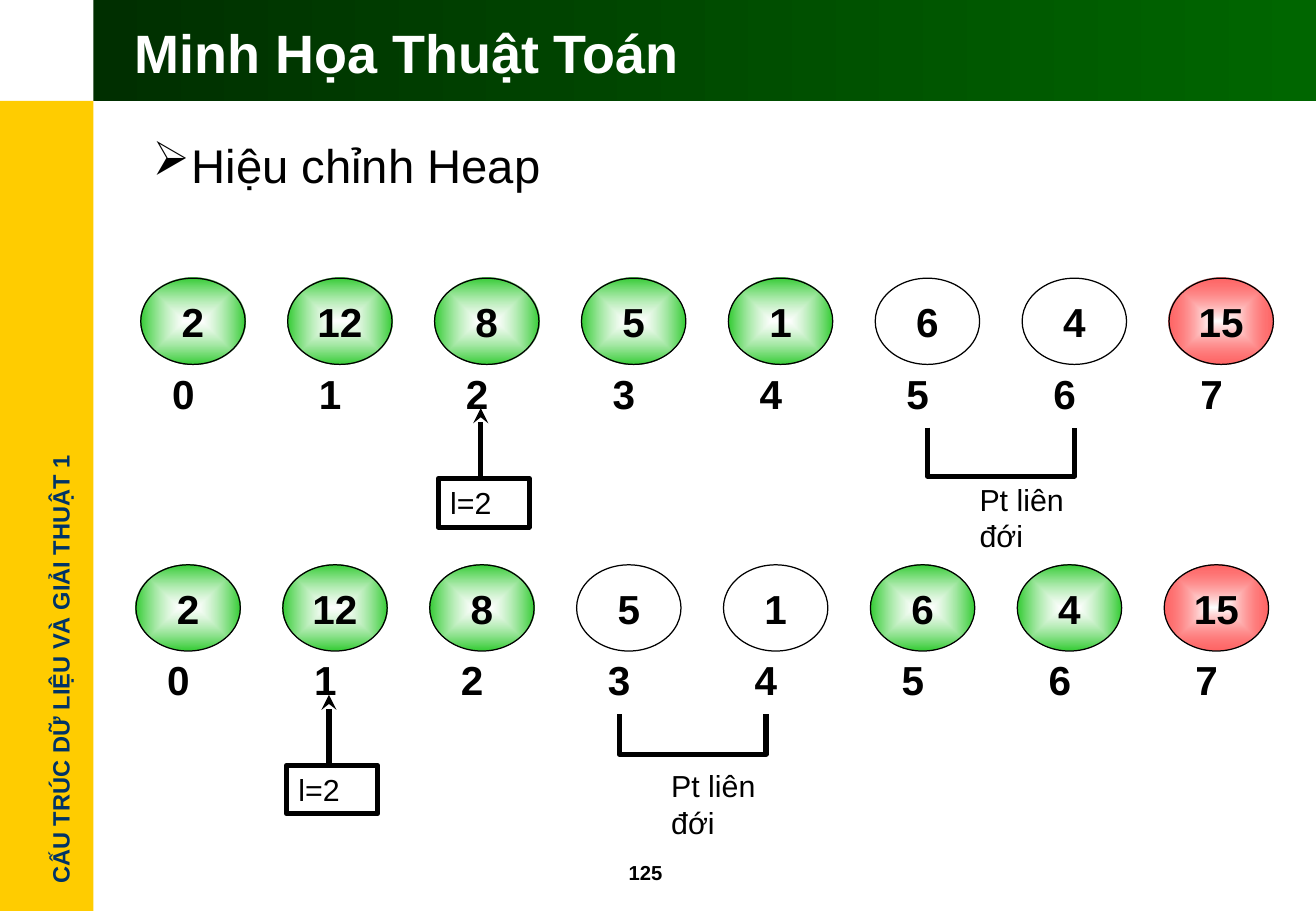
"""Build the heap adjustment slide."""
from dataclasses import dataclass
from typing import Any, NamedTuple

from lxml.etree import SubElement
from pptx import Presentation
from pptx.dml.color import RGBColor
from pptx.enum.shapes import MSO_CONNECTOR, MSO_SHAPE
from pptx.enum.text import MSO_ANCHOR, PP_ALIGN
from pptx.oxml import parse_xml
from pptx.oxml.ns import nsdecls, qn
from pptx.util import Inches, Pt


class Stop(NamedTuple):
    color: str
    alpha: int = 100


class Box(NamedTuple):
    x: float
    y: float
    w: float
    h: float


@dataclass(frozen=True)
class Theme:
    font: str = "Arial"
    black: str = "000000"
    white: str = "FFFFFF"
    navy: str = "003366"
    sidebar: tuple[Stop, ...] = (Stop("FFCC00"),)
    header: tuple[Stop, ...] = (Stop("002F00"), Stop("006600"))
    heap: tuple[Stop, ...] = (Stop("FFFFFF", 60), Stop("33CC33"))
    linked: tuple[Stop, ...] = (Stop("FFFFFF", 60),)
    placed: tuple[Stop, ...] = (Stop("FFFFFF"), Stop("FF0000", 60))
    title: int = 32
    heading: int = 28
    node: int = 24
    body: int = 18
    side: int = 14
    page: int = 12
    thin: float = 0.75
    thick: float = 3


@dataclass(frozen=True)
class HeapStep:
    left: float
    top: float
    pointer: int
    linked: tuple[int, int]
    bracket_x: float
    bracket_h: float


T = Theme()
VALUES = (2, 12, 8, 5, 1, 6, 4, 15)
PITCH, NODE_W, NODE_H = 1.21, 0.86, 0.71
STEPS = (
    HeapStep(1.16, 2.29, 2, (5, 6), 7.64, 0.4),
    HeapStep(1.12, 4.65, 1, (3, 4), 5.1, 0.33),
)


def set_all(obj: Any, values: dict[str, Any]) -> None:
    """Set each named attribute on the object."""
    for name, value in values.items():
        setattr(obj, name, value)


def paint(sp: Any, stops: tuple[Stop, ...], radial: bool = False) -> None:
    """Fill with one colour, or with a linear or rectangular gradient."""
    colors = [f'<a:srgbClr val="{c}"><a:alpha val="{a * 1000}"/></a:srgbClr>' for c, a in stops]
    if len(stops) == 1:
        xml = f'<a:solidFill {nsdecls("a")}>{colors[0]}</a:solidFill>'
    else:
        gs = "".join(f'<a:gs pos="{i * 100000}">{c}</a:gs>' for i, c in enumerate(colors))
        ray = ('<a:path path="rect"><a:fillToRect l="50000" t="50000" r="50000" b="50000"/></a:path>'
               if radial else '<a:lin ang="0" scaled="1"/>')
        xml = f'<a:gradFill {nsdecls("a")}><a:gsLst>{gs}</a:gsLst>{ray}</a:gradFill>'
    sp.fill.background()
    spPr = sp._element.spPr
    spPr.replace(spPr.find(qn("a:noFill")), parse_xml(xml))


def outline(sp: Any, width: float) -> None:
    """Give a black line of the given width."""
    sp.line.color.rgb = RGBColor.from_string(T.black)
    sp.line.width = Pt(width)


def write(sp: Any, text: str, size: int, color: str = T.black, bold: bool = False,
          align: PP_ALIGN = PP_ALIGN.LEFT, anchor: MSO_ANCHOR = MSO_ANCHOR.MIDDLE,
          wrap: bool = True) -> Any:
    """Write one formatted paragraph and return it."""
    tf = sp.text_frame
    set_all(tf, {"word_wrap": wrap, "vertical_anchor": anchor})
    p = tf.paragraphs[0]
    p.alignment = align
    r = p.add_run()
    r.text = text
    set_all(r.font, {"name": T.font, "size": Pt(size), "bold": bold})
    r.font.color.rgb = RGBColor.from_string(color)
    return p


def add_shape(s: Any, kind: MSO_SHAPE, box: Box) -> Any:
    """Add a shape without fill, line or shadow."""
    sp = s.shapes.add_shape(kind, *map(Inches, box))
    sp.shadow.inherit = False
    sp.fill.background()
    sp.line.fill.background()
    return sp


def add_text(s: Any, box: Box, text: str, size: int, **style: Any) -> Any:
    """Add a text box and return it."""
    sp = s.shapes.add_textbox(*map(Inches, box))
    write(sp, text, size, **style)
    return sp


def add_arrow(s: Any, x: float, y1: float, y2: float) -> None:
    """Add a vertical arrow with its head at y2."""
    cn = s.shapes.add_connector(MSO_CONNECTOR.STRAIGHT, *map(Inches, (x, y1, x, y2)))
    outline(cn, T.thick)
    SubElement(cn.line._get_or_add_ln(), qn("a:tailEnd"), type="stealth")
    SubElement(cn._element.spPr, qn("a:effectLst"))


def add_bracket(s: Any, x: float, y: float, h: float) -> None:
    """Add a bracket open at the top that spans two nodes."""
    fb = s.shapes.build_freeform(Inches(x), Inches(y))
    corners = ((x, y + h), (x + PITCH, y + h), (x + PITCH, y))
    fb.add_line_segments([(Inches(a), Inches(b)) for a, b in corners], close=False)
    sp = fb.convert_to_shape()
    sp.shadow.inherit = False
    sp.fill.background()
    outline(sp, T.thick)


def add_step(s: Any, step: HeapStep) -> None:
    """Draw the array, its indices, the pointer and the linked pair."""
    for i, value in enumerate(VALUES):
        x = step.left + i * PITCH
        sp = add_shape(s, MSO_SHAPE.OVAL, Box(x, step.top, NODE_W, NODE_H))
        placed = i == len(VALUES) - 1
        paint(sp, T.placed if placed else T.linked if i in step.linked else T.heap, radial=True)
        outline(sp, T.thin)
        write(sp, str(value), T.node, bold=True, align=PP_ALIGN.CENTER)
        add_text(s, Box(x - 0.08, step.top + 0.59, NODE_W, NODE_H), str(i), T.node,
                 bold=True, align=PP_ALIGN.CENTER)
    x, y = step.left + step.pointer * PITCH + 0.03, step.top + 1.65
    sp = add_shape(s, MSO_SHAPE.RECTANGLE, Box(x, y, 0.75, 0.4))
    outline(sp, T.thick)
    write(sp, "l=2", T.body)
    add_arrow(s, x + 0.35, y, y - 0.58)
    add_text(s, Box(step.bracket_x + 0.33, step.top + 1.62, 0.92, 0.7), "Pt liên đới",
             T.body, anchor=MSO_ANCHOR.TOP)
    add_bracket(s, step.bracket_x, step.top + 1.23, step.bracket_h)


def main() -> None:
    """Build and save the slide."""
    prs = Presentation()
    set_all(prs, {"slide_width": Inches(10.84), "slide_height": Inches(7.5)})
    s = prs.slides.add_slide(prs.slide_layouts[6])
    paint(add_shape(s, MSO_SHAPE.RECTANGLE, Box(0, 0.83, 0.77, 6.67)), T.sidebar)
    side = add_text(s, Box(-1.37, 5.34, 3.73, 0.34), "CẤU TRÚC DỮ LIỆU VÀ GIẢI THUẬT 1",
                    T.side, color=T.navy, bold=True, wrap=False)
    side.rotation = 270
    paint(add_shape(s, MSO_SHAPE.RECTANGLE, Box(0.77, 0, 10.07, 0.83)), T.header)
    add_text(s, Box(5.08, 7.03, 0.83, 0.3), "125", T.page, bold=True)
    add_text(s, Box(1.01, 0.09, 9.61, 0.67), "Minh Họa Thuật Toán", T.title,
             color=T.white, bold=True)
    heading = add_text(s, Box(1.16, 1.07, 3.46, 0.57), "Hiệu chỉnh Heap", T.heading,
                       anchor=MSO_ANCHOR.TOP)
    pPr = heading.text_frame.paragraphs[0]._p.get_or_add_pPr()
    set_all_xml = {"marL": Inches(0.32), "indent": -Inches(0.32)}
    for name, value in set_all_xml.items():
        pPr.set(name, str(value))
    SubElement(pPr, qn("a:buChar"), char="➢")
    for step in STEPS:
        add_step(s, step)
    prs.save("out.pptx")


if __name__ == "__main__":
    main()
